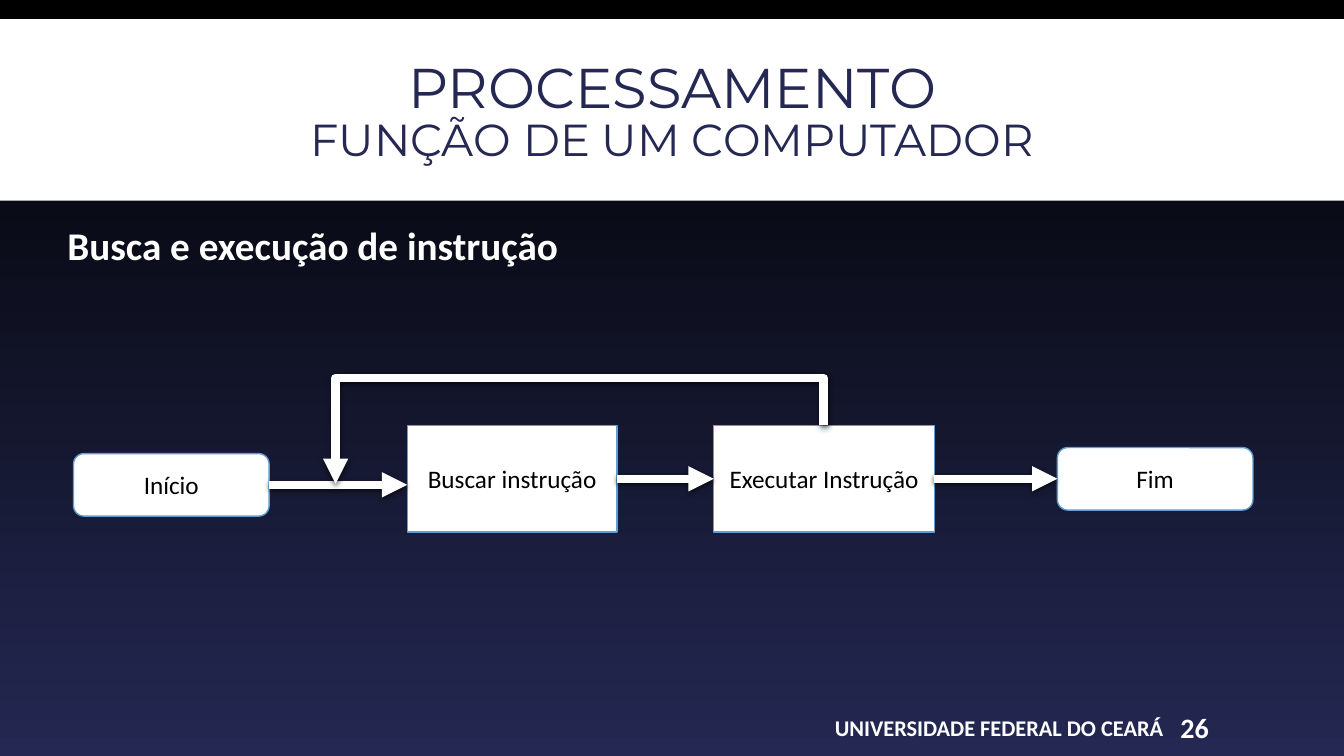
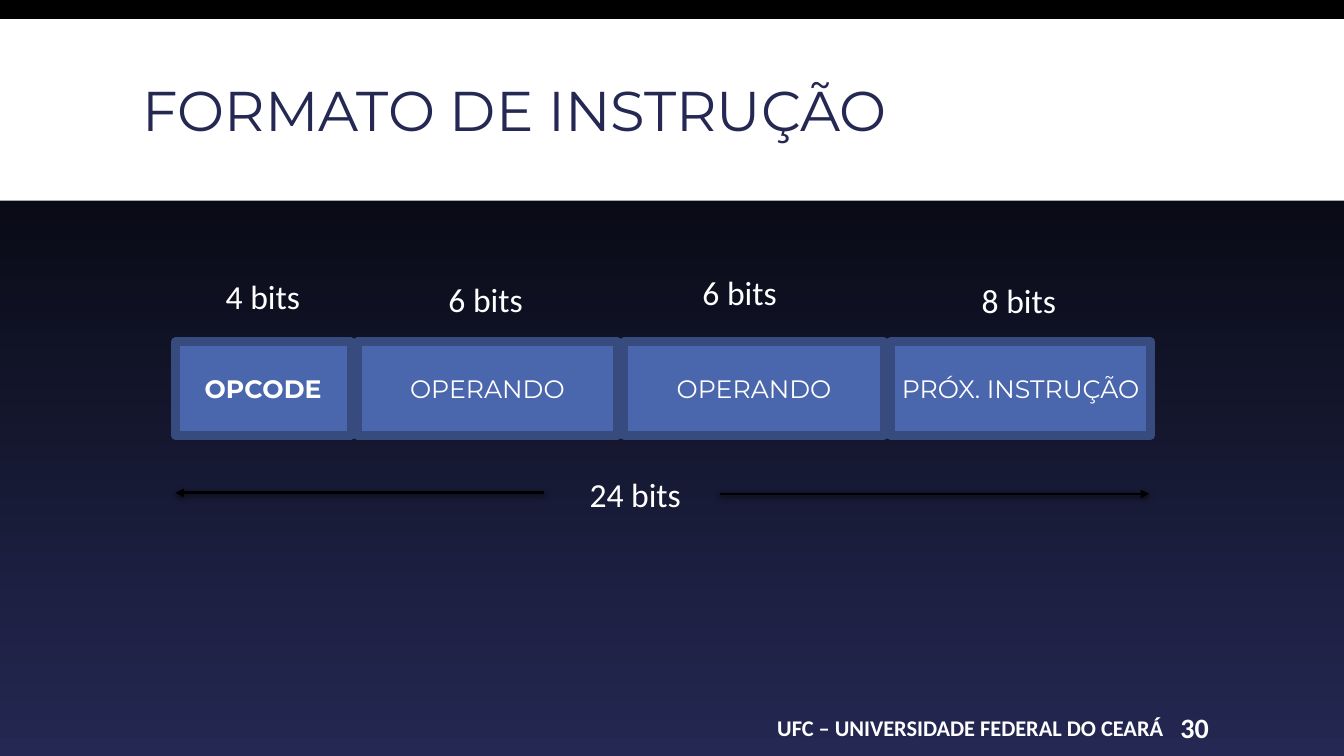
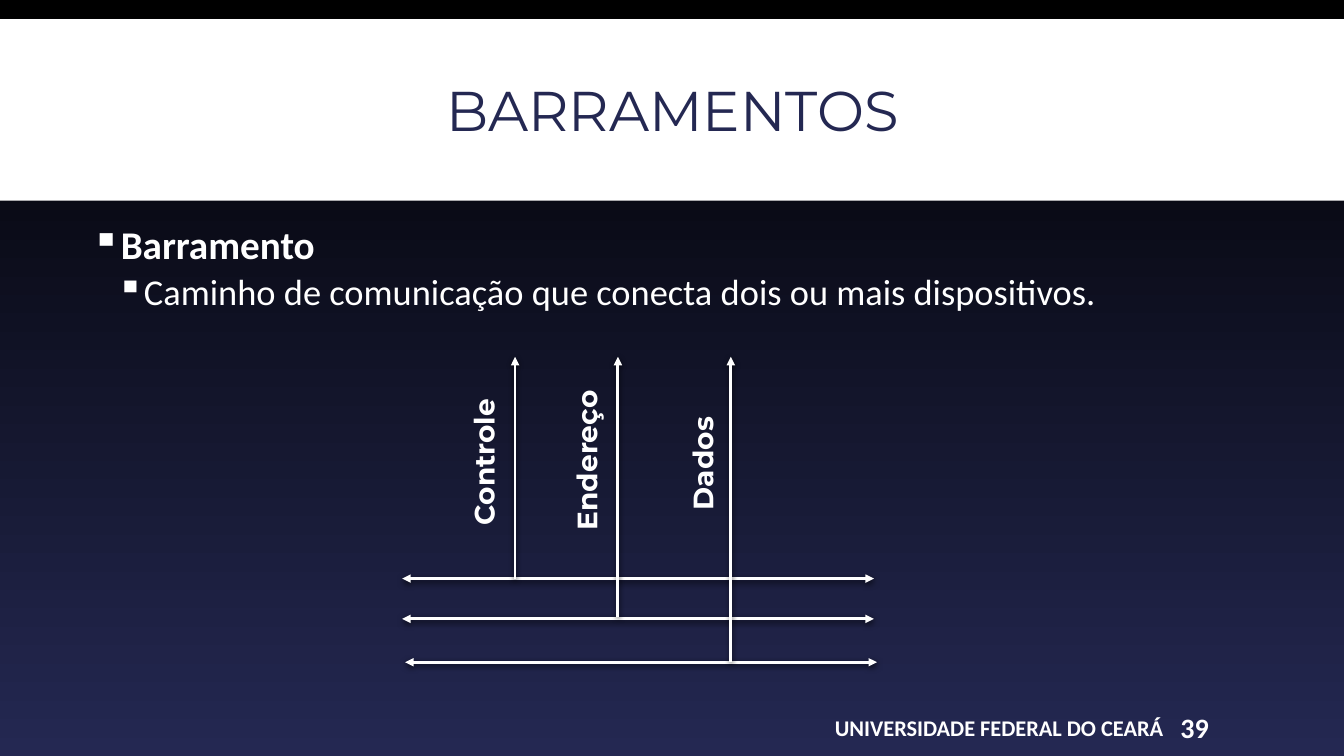
from collections import namedtuple
from lxml import etree
from pptx import Presentation, util as u
from pptx.dml.color import RGBColor
from pptx.enum import shapes, text
from pptx.oxml import ns

COLORS = {
    "white": "FFFFFF", "black": "000000", "navy": "242852",
    "sky": "629DD1", "field": "4A66AC", "edge": "374B7F",
}
BODY, HEAD = "Calibri", "Montserrat"
COLS, ROWS = 133.33, 75
UNIT = u.Inches(0.1)
SHAPE, LINK, ALIGN = shapes.MSO_SHAPE, shapes.MSO_CONNECTOR, text.PP_ALIGN
MIDDLE = text.MSO_ANCHOR.MIDDLE
FOOTER = "UNIVERSIDADE FEDERAL DO CEARÁ"


class Box(namedtuple("Box", "x y w h")):
    def inner(self, x, y, w, h):
        return Box(self.x + x, self.y + y, w, h)

    def emu(self):
        return [round(v * UNIT) for v in self]


PAGE = Box(0, 0, COLS, ROWS)


def rgb(name):
    return RGBColor.from_string(COLORS[name])


def child(parent, tag, **attrs):
    return etree.SubElement(parent, ns.qn(tag), {k: str(v) for k, v in attrs.items()})


def style(p, size, font=BODY, color="white", bold=False, align=None):
    p.alignment = align
    for r in p.runs:
        r.font.size = u.Pt(size)
        r.font.name = font
        r.font.bold = bold
        r.font.color.rgb = rgb(color)


def add_text(s, box, words, size, anchor=None, wrap=True, **look):
    tf = s.shapes.add_textbox(*box.emu()).text_frame
    tf.word_wrap = wrap
    tf.vertical_anchor = anchor
    tf.text = words
    style(tf.paragraphs[0], size, **look)
    return tf


def add_block(s, box, words, kind, fill, line, width, **look):
    sp = s.shapes.add_shape(kind, *box.emu())
    sp.shadow.inherit = False
    sp.fill.solid()
    sp.fill.fore_color.rgb = rgb(fill)
    sp.line.color.rgb = rgb(line)
    sp.line.width = u.Pt(width)
    tf = sp.text_frame
    tf.word_wrap = True
    tf.vertical_anchor = MIDDLE
    tf.text = words
    style(tf.paragraphs[0], 18, align=ALIGN.CENTER, **look)
    return sp


def add_arrow(s, box, start, end, width, color="white", both=False, kind=LINK.STRAIGHT):
    points = [box.x + start[0], box.y + start[1], box.x + end[0], box.y + end[1]]
    c = s.shapes.add_connector(kind, *[round(v * UNIT) for v in points])
    c.line.color.rgb = rgb(color)
    c.line.width = u.Pt(width)
    ln = c._element.spPr.find(ns.qn("a:ln"))
    child(ln, "a:round")
    if both:
        child(ln, "a:headEnd", type="triangle")
    child(ln, "a:tailEnd", type="triangle")
    effects = child(c._element.spPr, "a:effectLst")
    shadow = child(effects, "a:outerShdw", blurRad=u.Pt(4), dist=u.Pt(1.2),
                   dir=5400000, rotWithShape=0)
    child(child(shadow, "a:srgbClr", val=COLORS["black"]), "a:alpha", val=68000)
    return c


def set_background(prs):
    fill = prs.slide_master.background.fill
    fill.gradient()
    fill.gradient_angle = 270
    for stop, name, place in zip(fill.gradient_stops, ("black", "navy"), (0, 1)):
        stop.color.rgb = rgb(name)
        stop.position = place


def add_title(s, box, title, sizes, align):
    band = s.shapes.add_shape(SHAPE.RECTANGLE, *box.emu())
    band.shadow.inherit = False
    band.fill.solid()
    band.fill.fore_color.rgb = rgb("white")
    band.line.fill.background()
    tf = add_text(s, box.inner(13.2, 1.2, 107, 16.5), title, sizes[0], MIDDLE,
                  font=HEAD, color="navy", align=align)
    p = tf.paragraphs[0]
    p.line_spacing = 0.85
    for r, size in zip(p.runs, sizes):
        r.font.size = u.Pt(size)


def add_footer(s, box, footer, number):
    add_text(s, box.inner(0, 0, 55.2, 4), footer, 16, MIDDLE, bold=True, align=ALIGN.RIGHT)
    tf = add_text(s, box.inner(55.4, 0, 10.3, 4), number, 20, MIDDLE, bold=True)
    tf.margin_left = u.Inches(0.05)


def new_slide(prs, title, number, footer=FOOTER, sizes=(40,), align=ALIGN.CENTER):
    s = prs.slides.add_slide(prs.slide_layouts[6])
    add_title(s, PAGE.inner(0, 1.9, COLS, 18), title, sizes, align)
    add_footer(s, PAGE.inner(61.2, 70.2, 65.7, 4), footer, number)
    return s


def space(p, before, after):
    p.line_spacing = 0.9
    p.space_before = u.Pt(before)
    p.space_after = u.Pt(after)


def add_bullet(p, left):
    pPr = p._p.get_or_add_pPr()
    pPr.set("marL", str(u.Inches(left)))
    pPr.set("indent", str(-u.Inches(0.2)))
    child(child(pPr, "a:buClr"), "a:srgbClr", val=COLORS["white"])
    child(pPr, "a:buChar", char="▪")


def add_cycle(s, box):
    steps = [
        ("Início", SHAPE.ROUNDED_RECTANGLE, (0, 7.5, 19.4, 6.2)),
        ("Buscar instrução", SHAPE.RECTANGLE, (33.1, 4.7, 20.8, 10.6)),
        ("Executar Instrução", SHAPE.RECTANGLE, (63.5, 4.7, 21.9, 10.6)),
        ("Fim", SHAPE.ROUNDED_RECTANGLE, (97.6, 6.9, 19.4, 6.2)),
    ]
    first, fetch, run, last = [
        add_block(s, box.inner(*place), words, kind, "white", "sky", 1, color="black")
        for words, kind, place in steps]
    enter = add_arrow(s, box, (19.4, 10.6), (33.1, 10.6), 6)
    enter.begin_connect(first, 3)
    for a, b in ((fetch, run), (run, last)):
        c = add_arrow(s, box, (0, 0), (1, 0), 6)
        c.begin_connect(a, 3)
        c.end_connect(b, 1)
    add_return(s, box, (74.4, 4.7), (26, 10.5), 4.7)


def add_return(s, box, start, end, rise):
    across, down = start[0] - end[0], end[1] - start[1]
    mid_x, mid_y = (start[0] + end[0]) / 2, (start[1] + end[1]) / 2
    c = add_arrow(s, box, (mid_x + down / 2, mid_y + across / 2),
                  (mid_x - down / 2, mid_y - across / 2), 6, kind=LINK.ELBOW)
    spPr = c._element.spPr
    spPr.find(ns.qn("a:xfrm")).set("rot", "16200000")
    geom = spPr.find(ns.qn("a:prstGeom"))
    geom.set("prst", "bentConnector4")
    for old in list(geom):
        geom.remove(old)
    guides = child(geom, "a:avLst")
    for name, share in (("adj1", -rise / down), ("adj2", 1)):
        child(guides, "a:gd", name=name, fmla=f"val {round(share * 100000)}")


def add_fields(s, box):
    fields = [
        ("OPCODE", 17.4, "4 bits", (4, 0.4)),
        ("OPERANDO", 25.8, "6 bits", (26.1, 0.7)),
        ("OPERANDO", 25.8, "6 bits", (51.3, 0)),
        ("PRÓX. INSTRUÇÃO", 25.8, "8 bits", (79, 0.8)),
    ]
    left, gap = 0, 0.65
    for i, (name, width, bits, spot) in enumerate(fields):
        add_block(s, box.inner(left, 7.4, width, 9.3), name, SHAPE.RECTANGLE,
                  "field", "edge", 6, font=HEAD, bold=i == 0)
        add_text(s, box.inner(*spot, 9.5, 5), bits, 24, wrap=False)
        left += width + gap
    add_text(s, box.inner(40.1, 20, 11.2, 5), "24 bits", 24, wrap=False)
    add_arrow(s, box, (36.6, 22.4), (0, 22.4), 2, "black")
    add_arrow(s, box, (54, 22.5), (96.6, 22.5), 2, "black")


def add_buses(s, box):
    for left, y in ((0, 22), (0, 26), (0.3, 30.3)):
        add_arrow(s, box, (left, y), (left + 46.8, y), 2, both=True)
    buses = [
        ("Controle", 11.2, 22, (5.9, 3.5, 14.2)),
        ("Endereço", 21.4, 25.8, (16.1, 2.6, 15.6)),
        ("Dados", 32.6, 30.3, (27.6, 5.7, 10.5)),
    ]
    for name, x, foot, (left, top, length) in buses:
        add_arrow(s, box, (x, foot), (x, 0), 2)
        tf = add_text(s, box.inner(left, top, 5.4, length), name, 20,
                      wrap=False, font=HEAD, bold=True)
        tf._txBody.bodyPr.set("vert", "vert270")


def cycle_slide(prs):
    s = new_slide(prs, "PROCESSAMENTO\vFUNÇÃO DE UM COMPUTADOR", "26", sizes=(40, 32))
    tf = add_text(s, PAGE.inner(5.7, 22, 123.6, 46), "Busca e execução de instrução",
                  28, bold=True)
    space(tf.paragraphs[0], 12, 2)
    add_cycle(s, PAGE.inner(7.3, 37.5, 117, 15.3))


def format_slide(prs):
    s = new_slide(prs, "FORMATO DE INSTRUÇÃO", "30", "UFC – " + FOOTER, align=ALIGN.LEFT)
    add_fields(s, PAGE.inner(17.4, 26.5, 96.7, 25))


def bus_slide(prs):
    s = new_slide(prs, "BARRAMENTOS", "39")
    tf = add_text(s, PAGE.inner(8.1, 21.9, 112.1, 46), "Barramento", 28, bold=True)
    p = tf.paragraphs[0]
    space(p, 12, 2)
    add_bullet(p, 0.2)
    p = tf.add_paragraph()
    p.text = "Caminho de comunicação que conecta dois ou mais dispositivos."
    p.level = 1
    style(p, 26)
    space(p, 2, 4)
    add_bullet(p, 0.45)
    add_buses(s, PAGE.inner(39.9, 35.4, 47.1, 30.3))


def main():
    prs = Presentation()
    prs.slide_width, prs.slide_height = round(COLS * UNIT), ROWS * UNIT
    set_background(prs)
    for build in (cycle_slide, format_slide, bus_slide):
        build(prs)
    prs.save("out.pptx")


if __name__ == "__main__":
    main()
